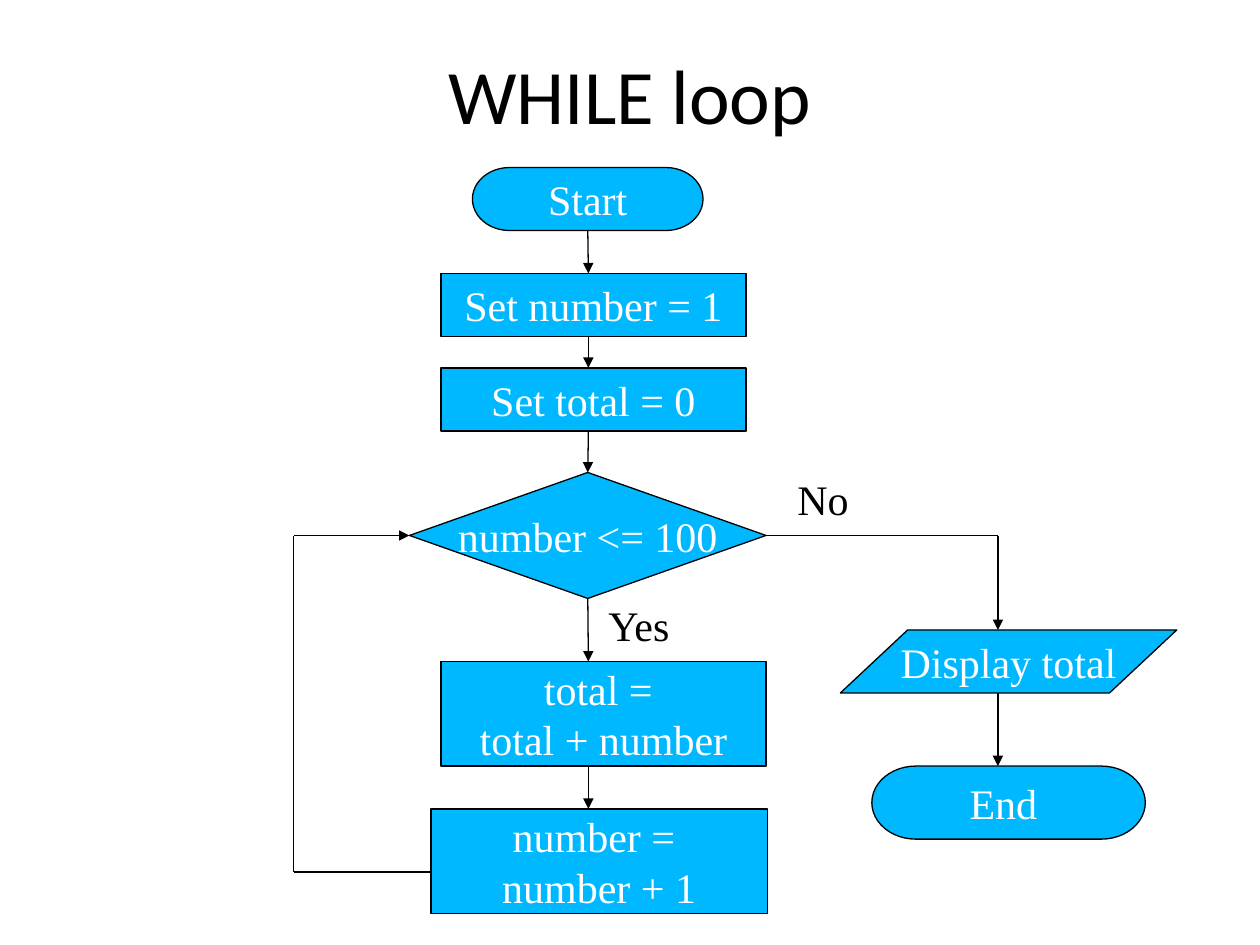
from lxml.etree import SubElement
from pptx import Presentation
from pptx.dml.color import RGBColor
from pptx.enum.shapes import MSO_CONNECTOR, MSO_SHAPE
from pptx.enum.text import MSO_ANCHOR, PP_ALIGN
from pptx.oxml.ns import qn
from pptx.util import Inches, Pt

BLUE = RGBColor(0x00, 0xB8, 0xFF)
BLACK = RGBColor(0x00, 0x00, 0x00)
WHITE = RGBColor(0xFF, 0xFF, 0xFF)
TOP, LEFT, BOTTOM, RIGHT = range(4)
MAIN_X, EXIT_X, LOOP_X = 4.67, 7.92, 2.33
TEST_Y, REPEAT_Y = 4.25, 6.92


def write(frame, text, size=24, font="Times New Roman", color=BLACK,
          align=PP_ALIGN.LEFT, anchor=MSO_ANCHOR.TOP, wrap=False):
    """Fill a text frame, one paragraph for each line of text."""
    frame.word_wrap = wrap
    frame.vertical_anchor = anchor
    frame.text = text
    for paragraph in frame.paragraphs:
        paragraph.alignment = align
        for run in paragraph.runs:
            run.font.size = Pt(size)
            run.font.name = font
            run.font.color.rgb = color


def add_label(slide, text, left, top, width, height, **text_format):
    """Add free-standing text."""
    label = slide.shapes.add_textbox(*map(Inches, (left, top, width, height)))
    write(label.text_frame, text, **text_format)


def add_step(slide, kind, text, left, top, width, height):
    """Add a flowchart symbol with centred white text."""
    step = slide.shapes.add_shape(kind, *map(Inches, (left, top, width, height)))
    step.shadow.inherit = False
    step.fill.solid()
    step.fill.fore_color.rgb = BLUE
    step.line.color.rgb = BLACK
    step.line.width = Pt(0.75)
    write(step.text_frame, text, color=WHITE, align=PP_ALIGN.CENTER,
          anchor=MSO_ANCHOR.MIDDLE)
    return step


def add_flow(slide, start, end, arrow=True, source=None, target=None):
    """Add a flow line, joined to the (step, side) pairs given."""
    flow = slide.shapes.add_connector(
        MSO_CONNECTOR.STRAIGHT, *map(Inches, (*start, *end)))
    flow.line.color.rgb = BLACK
    flow.line.width = Pt(0.75)
    if arrow:
        SubElement(flow.line._get_or_add_ln(), qn("a:tailEnd"), type="triangle")
    SubElement(flow._element.spPr, qn("a:effectLst"))
    if source:
        flow.begin_connect(*source)
    if target:
        flow.end_connect(*target)


def add_flows(slide, begin, test):
    """Draw the main path, the exit path and the loop back to the test."""
    add_flow(slide, (MAIN_X, 1.83), (MAIN_X, 2.17), source=(begin, BOTTOM))
    add_flow(slide, (MAIN_X, 2.67), (MAIN_X, 2.92))
    add_flow(slide, (MAIN_X, 3.42), (MAIN_X, 3.75), target=(test, TOP))
    add_flow(slide, (MAIN_X, 4.75), (MAIN_X, 5.25), source=(test, BOTTOM))
    add_flow(slide, (MAIN_X, 6.08), (MAIN_X, 6.42))

    add_flow(slide, (6.08, TEST_Y), (EXIT_X, TEST_Y), arrow=False,
             source=(test, RIGHT))
    add_flow(slide, (EXIT_X, TEST_Y), (EXIT_X, 5))
    add_flow(slide, (EXIT_X, 5.5), (EXIT_X, 6.08))

    add_flow(slide, (3.42, REPEAT_Y), (LOOP_X, REPEAT_Y), arrow=False)
    add_flow(slide, (LOOP_X, REPEAT_Y), (LOOP_X, TEST_Y), arrow=False)
    add_flow(slide, (LOOP_X, TEST_Y), (3.25, TEST_Y), target=(test, LEFT))


def main():
    """Build the WHILE loop flowchart slide."""
    deck = Presentation()
    deck.slide_width, deck.slide_height = Inches(10), Inches(7.5)
    slide = deck.slides.add_slide(deck.slide_layouts[6])

    add_label(slide, "WHILE loop", 0.5, 0.17, 9, 0.99, size=44, font="Calibri",
              align=PP_ALIGN.CENTER, anchor=MSO_ANCHOR.BOTTOM, wrap=True)

    terminator = MSO_SHAPE.FLOWCHART_TERMINATOR
    process = MSO_SHAPE.FLOWCHART_PROCESS
    begin = add_step(slide, terminator, "Start", 3.75, 1.33, 1.83, 0.5)
    add_step(slide, process, "Set number = 1", 3.5, 2.17, 2.42, 0.5)
    add_step(slide, process, "Set total = 0", 3.5, 2.92, 2.42, 0.5)
    test = add_step(slide, MSO_SHAPE.FLOWCHART_DECISION, "number <= 100",
                    3.25, 3.75, 2.83, 1)
    add_step(slide, process, "total = \ntotal + number", 3.5, 5.25, 2.58, 0.83)
    add_step(slide, process, "number = \nnumber + 1", 3.42, 6.42, 2.67, 0.83)
    add_step(slide, MSO_SHAPE.FLOWCHART_DATA, "Display total", 6.67, 5, 2.67, 0.5)
    add_step(slide, terminator, "End ", 6.92, 6.08, 2.17, 0.58)

    add_flows(slide, begin, test)
    add_label(slide, "No", 6.23, 3.71, 0.61, 0.5)
    add_label(slide, "Yes", 4.73, 4.71, 0.72, 0.5)
    deck.save("out.pptx")


if __name__ == "__main__":
    main()
